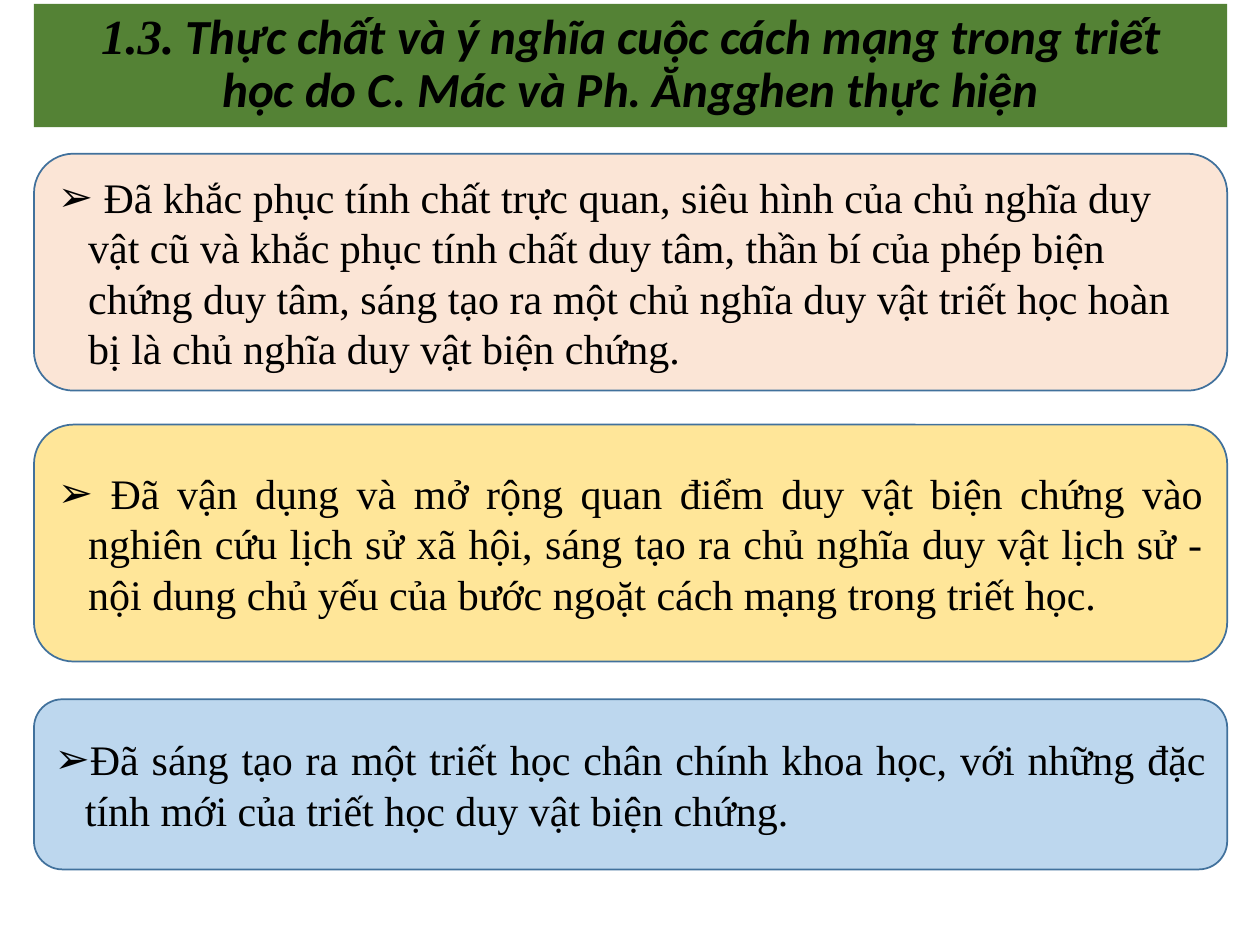
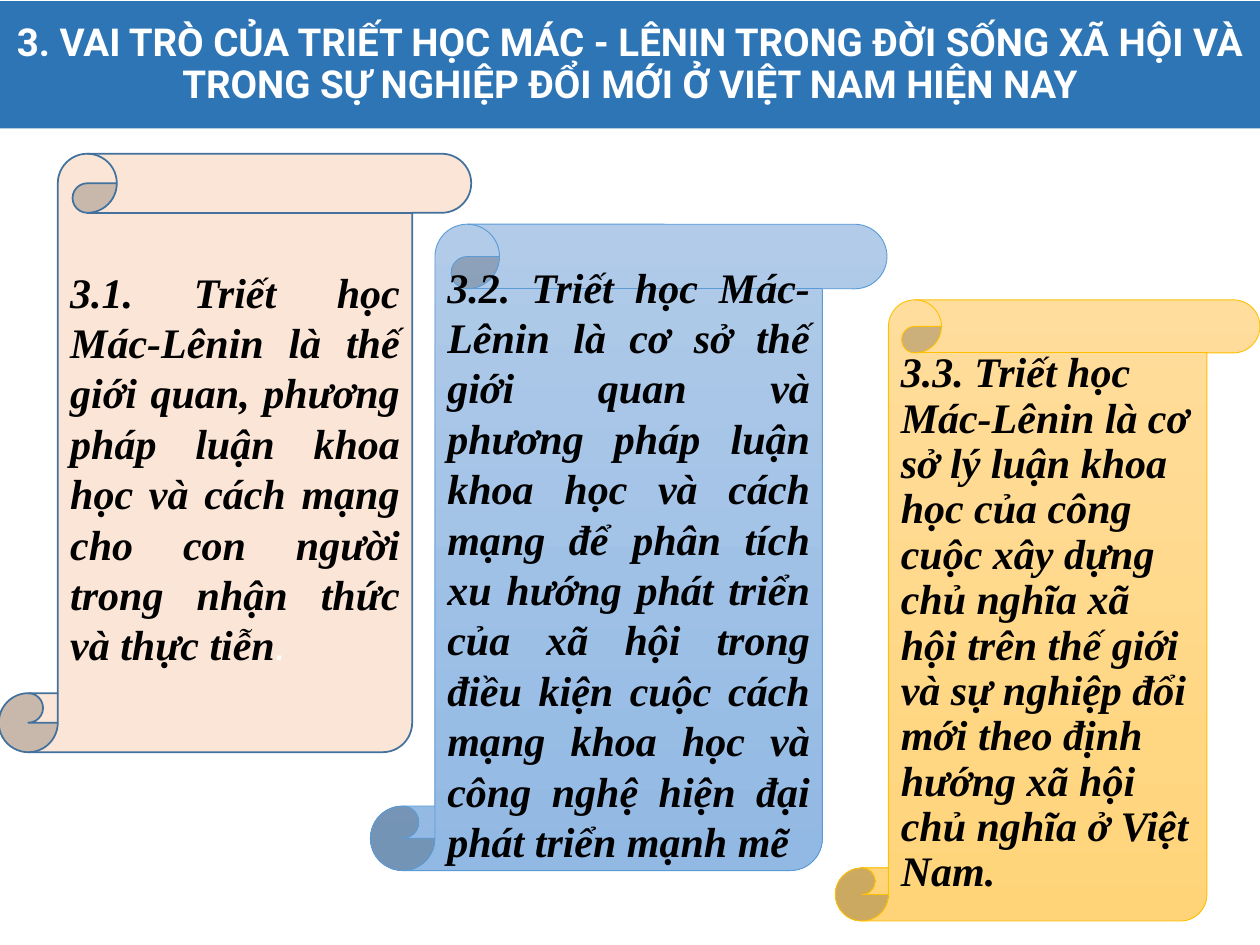
from pptx import Presentation
from pptx.dml.color import RGBColor
from pptx.enum.shapes import MSO_SHAPE
from pptx.enum.text import MSO_ANCHOR, PP_ALIGN
from pptx.oxml.ns import qn
from pptx.util import Inches, Pt
from lxml.etree import SubElement

BLACK = RGBColor(0x00, 0x00, 0x00)
WHITE = RGBColor(0xFF, 0xFF, 0xFF)
GREEN = RGBColor(0x54, 0x82, 0x35)
BLUE = RGBColor(0x2E, 0x75, 0xB6)
PEACH = RGBColor(0xFB, 0xE5, 0xD6)
YELLOW = RGBColor(0xFF, 0xE6, 0x99)
SKY = RGBColor(0xBD, 0xD7, 0xEE)
OUTLINE = RGBColor(0x41, 0x71, 0x9C)
SKY_LINE = RGBColor(0x5B, 0x9B, 0xD5)
GOLD_LINE = RGBColor(0xFF, 0xC0, 0x00)
SKY_FADE = [RGBColor(0xB1, 0xCB, 0xE9), RGBColor(0x92, 0xB9, 0xE4)]
GOLD_FADE = [RGBColor(0xFF, 0xDD, 0x9C), RGBColor(0xFF, 0xD4, 0x79)]
SERIF = "Times New Roman"
HANGING = 0.24

# Content: slide 1
MEANING_TITLE = [
    ("1.3.", {"font": SERIF}),
    (" Thực chất và ý nghĩa cuộc cách mạng trong triết học do C. Mác và Ph. Ăngghen thực hiện",
     {"font": "Calibri"}),
]
# text, alignment, fill, top, height
MEANING_CARDS = [
    (" Đã khắc phục tính chất trực quan, siêu hình của chủ nghĩa duy vật cũ và khắc phục "
     "tính chất duy tâm, thần bí của phép biện chứng duy tâm, sáng tạo ra một chủ nghĩa "
     "duy vật triết học hoàn bị là chủ nghĩa duy vật biện chứng.",
     PP_ALIGN.LEFT, PEACH, 1.22, 1.88),
    (" Đã vận dụng và mở rộng quan điểm duy vật biện chứng vào nghiên cứu lịch sử xã hội, "
     "sáng tạo ra chủ nghĩa duy vật lịch sử - nội dung chủ yếu của bước ngoặt cách mạng "
     "trong triết học.",
     PP_ALIGN.JUSTIFY, YELLOW, 3.37, 1.88),
    ("Đã sáng tạo ra một triết học chân chính khoa học, với những đặc tính mới của triết "
     "học duy vật biện chứng.",
     PP_ALIGN.JUSTIFY, SKY, 5.55, 1.35),
]

# Content: slide 2
ROLE_TITLE = [
    ("3. VAI TRÒ CỦA TRIẾT HỌC MÁC - LÊNIN TRONG ĐỜI SỐNG XÃ HỘI VÀ TRONG SỰ NGHIỆP "
     "ĐỔI MỚI Ở VIỆT NAM HIỆN NAY", {"font": "Roboto"}),
]
# spans, place, fill, outline, outline width, paragraph format
ROLE_SCROLLS = [
    ([("3.1. Triết học Mác-Lênin là thế giới quan, phương pháp luận khoa học và cách mạng "
       "cho con người trong nhận thức và thực tiễn", {}),
      (".", {"font": "Arial", "color": WHITE, "bold": False})],
     (-0.01, 1.22, 3.75, 4.75), PEACH, OUTLINE, 1, {"align": PP_ALIGN.JUSTIFY}),
    ([("3.2. Triết học Mác-Lênin là cơ sở thế giới quan và phương pháp luận khoa học và "
       "cách mạng để phân tích xu hướng phát triển của xã hội trong điều kiện cuộc cách "
       "mạng khoa học và công nghệ hiện đại phát triển mạnh mẽ", {})],
     (2.94, 1.78, 4.1, 5.13), SKY_FADE, SKY_LINE, 0.5, {"align": PP_ALIGN.JUSTIFY}),
    ([("3.3. Triết học Mác-Lênin là cơ sở lý luận khoa học của công cuộc xây dựng chủ nghĩa "
       "xã hội trên thế giới và sự nghiệp đổi mới theo định hướng xã hội chủ nghĩa ở Việt "
       "Nam.", {})],
     (6.63, 2.38, 3.37, 4.93), GOLD_FADE, GOLD_LINE, 0.5,
     {"line_spacing": 0.9, "space_after": 10.5}),
]


def add_panel(page, kind, place, fill, line=None, line_width=1):
    """Add a preset shape with a solid colour or a top-to-bottom list of two colours."""
    shape = page.shapes.add_shape(kind, *(Inches(length) for length in place))
    shape.shadow.inherit = False
    if isinstance(fill, list):
        shape.fill.gradient()
        shape.fill.gradient_angle = 270
        for stop, color, position in zip(shape.fill.gradient_stops, fill, (0, 1)):
            stop.color.rgb = color
            stop.position = position
    else:
        shape.fill.solid()
        shape.fill.fore_color.rgb = fill
    if line is None:
        shape.line.fill.background()
    else:
        shape.line.color.rgb = line
        shape.line.width = Pt(line_width)
    return shape


def add_bullet(para):
    properties = para._p.get_or_add_pPr()
    properties.set("marL", str(Inches(HANGING)))
    properties.set("indent", str(-Inches(HANGING)))
    color = SubElement(properties, qn("a:buClr"))
    SubElement(color, qn("a:srgbClr"), val=str(BLACK))
    SubElement(properties, qn("a:buFont"), typeface="Arial")
    SubElement(properties, qn("a:buChar"), char="➢")


def write(shape, spans, size=24, font=SERIF, color=BLACK, bold=False, italic=False,
          align=PP_ALIGN.LEFT, line_spacing=None, space_after=None, bullet=False,
          margins=(0.1, 0.05)):
    """Fill a shape with one paragraph; each span may override font, color and bold."""
    frame = shape.text_frame
    frame.word_wrap = True
    frame.vertical_anchor = MSO_ANCHOR.MIDDLE
    frame.margin_left = frame.margin_right = Inches(margins[0])
    frame.margin_top = frame.margin_bottom = Inches(margins[1])
    para = frame.paragraphs[0]
    para.alignment = align
    if line_spacing:
        para.line_spacing = line_spacing
    if space_after:
        para.space_after = Pt(space_after)
    if bullet:
        add_bullet(para)
    for text, changes in spans:
        span = para.add_run()
        span.text = text
        span.font.size = Pt(size)
        span.font.name = changes.get("font", font)
        span.font.color.rgb = changes.get("color", color)
        span.font.bold = changes.get("bold", bold)
        span.font.italic = italic


def add_title(page, spans, place, fill, **text_format):
    band = add_panel(page, MSO_SHAPE.RECTANGLE, place, fill)
    write(band, spans, bold=True, align=PP_ALIGN.CENTER, line_spacing=0.9, **text_format)


def build_meaning(page):
    left, width = 0.27, 9.47
    add_title(page, MEANING_TITLE, (left, 0.03, width, 0.98), GREEN,
              size=28, italic=True, margins=(0.24, 0))
    for text, align, fill, top, height in MEANING_CARDS:
        card = add_panel(page, MSO_SHAPE.ROUNDED_RECTANGLE, (left, top, width, height),
                         fill, OUTLINE)
        write(card, [(text, {})], align=align, bullet=True)


def build_roles(page):
    add_title(page, ROLE_TITLE, (0, 0.01, 10, 1.01), BLUE, size=22, color=WHITE)
    for spans, place, fill, line, line_width, text_format in ROLE_SCROLLS:
        scroll = add_panel(page, MSO_SHAPE.VERTICAL_SCROLL, place, fill, line, line_width)
        write(scroll, spans, bold=True, italic=True, **text_format)


def main():
    deck = Presentation()
    deck.slide_width, deck.slide_height = Inches(10), Inches(7.5)
    for build in (build_meaning, build_roles):
        build(deck.slides.add_slide(deck.slide_layouts[6]))
    deck.save("out.pptx")


if __name__ == "__main__":
    main()
